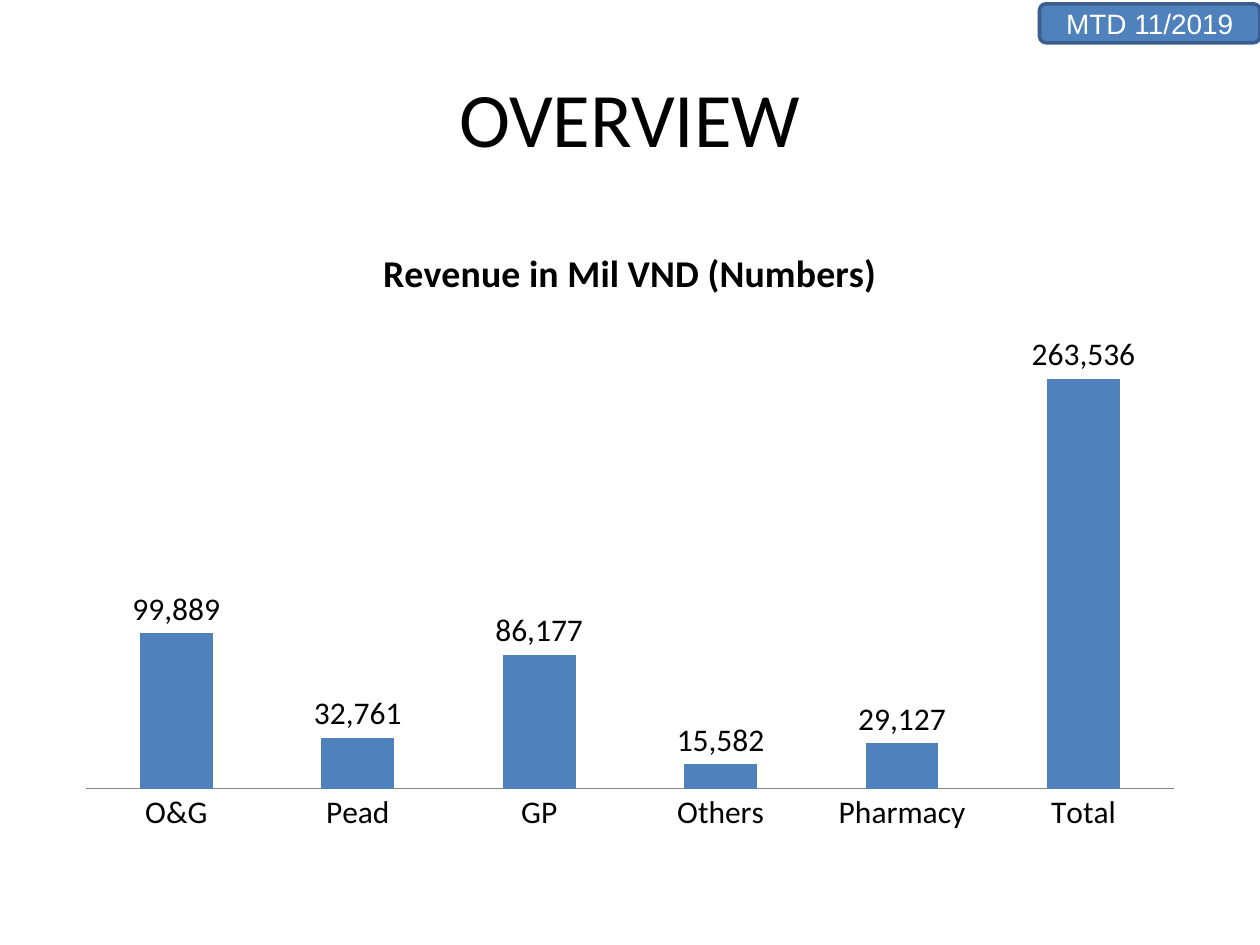
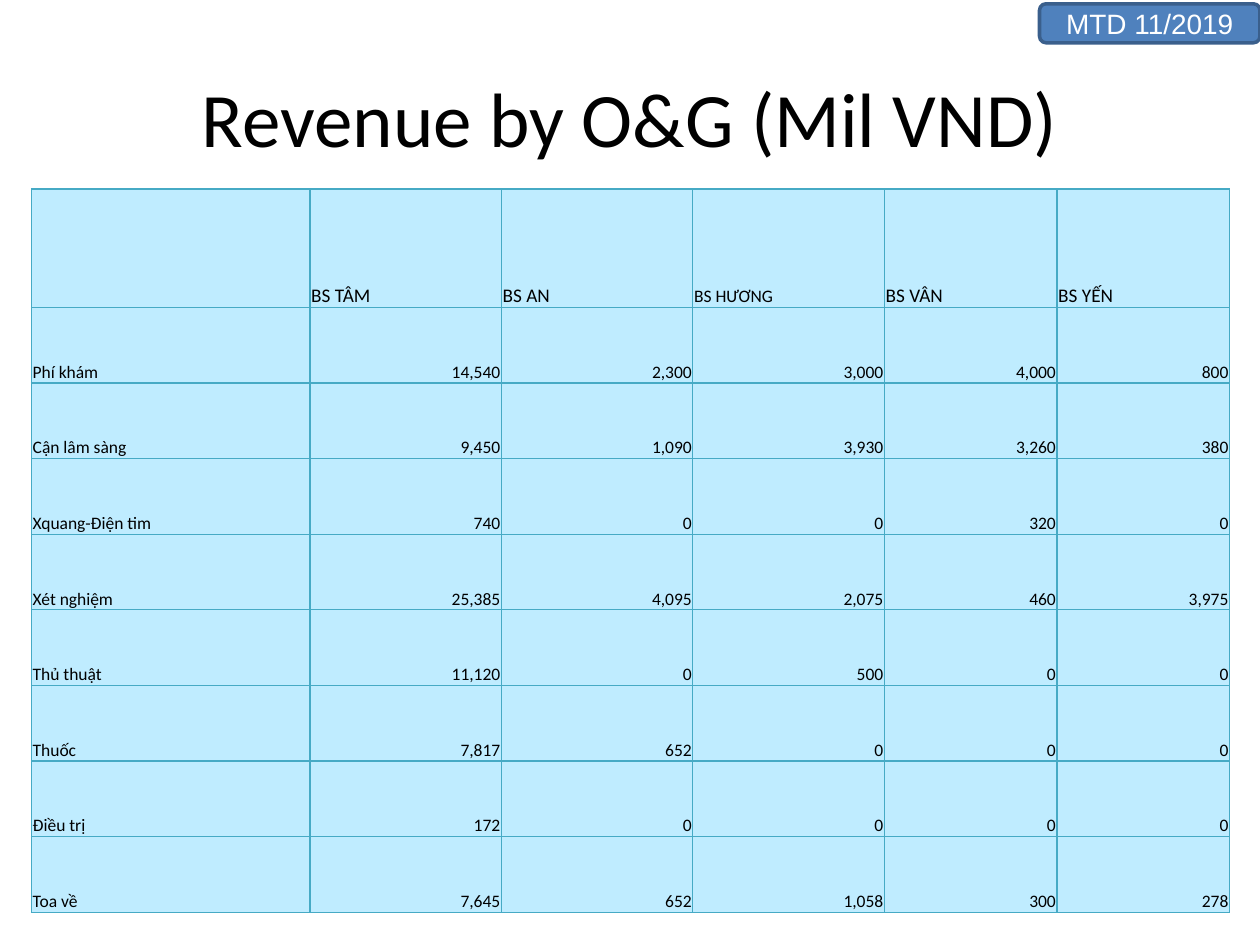
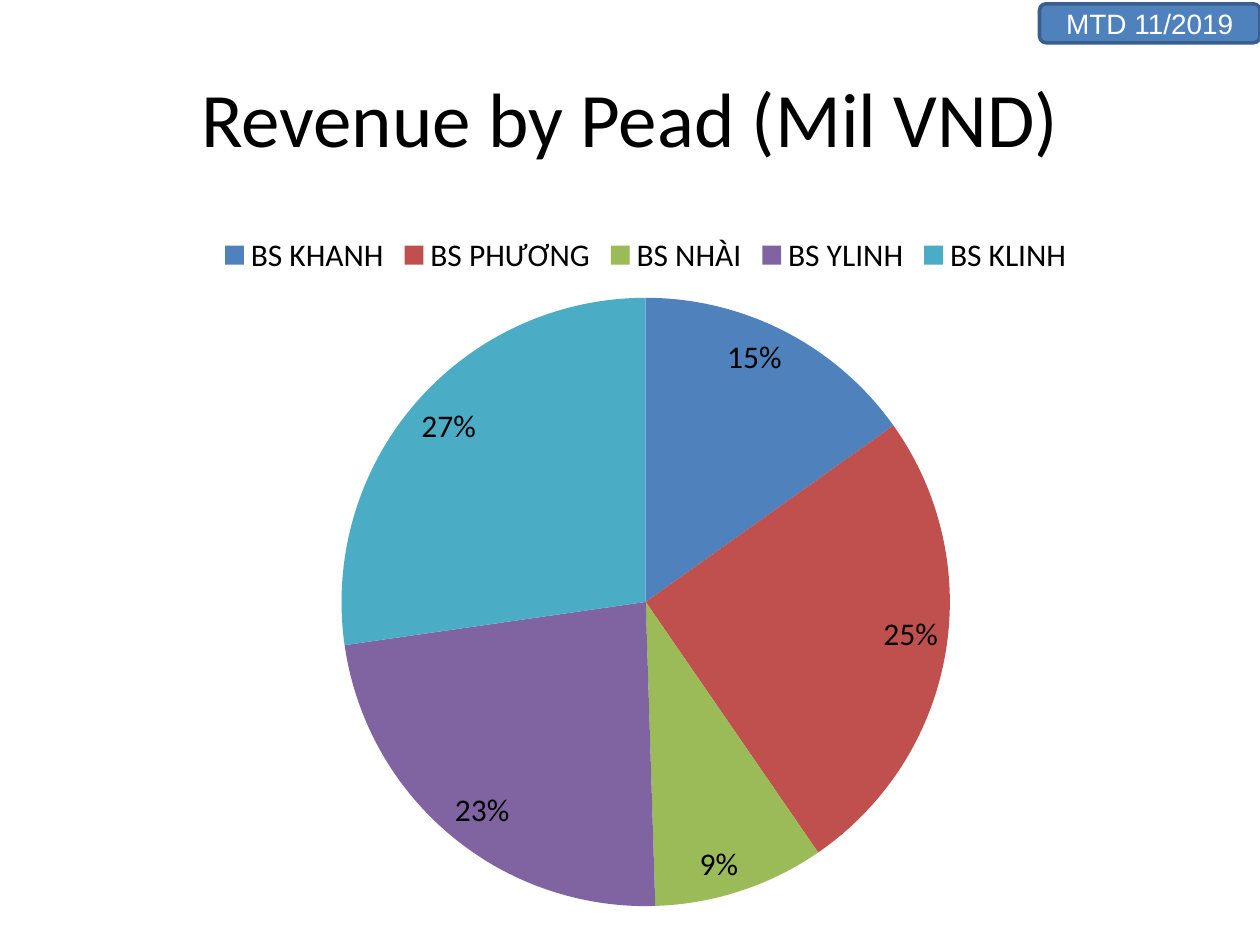
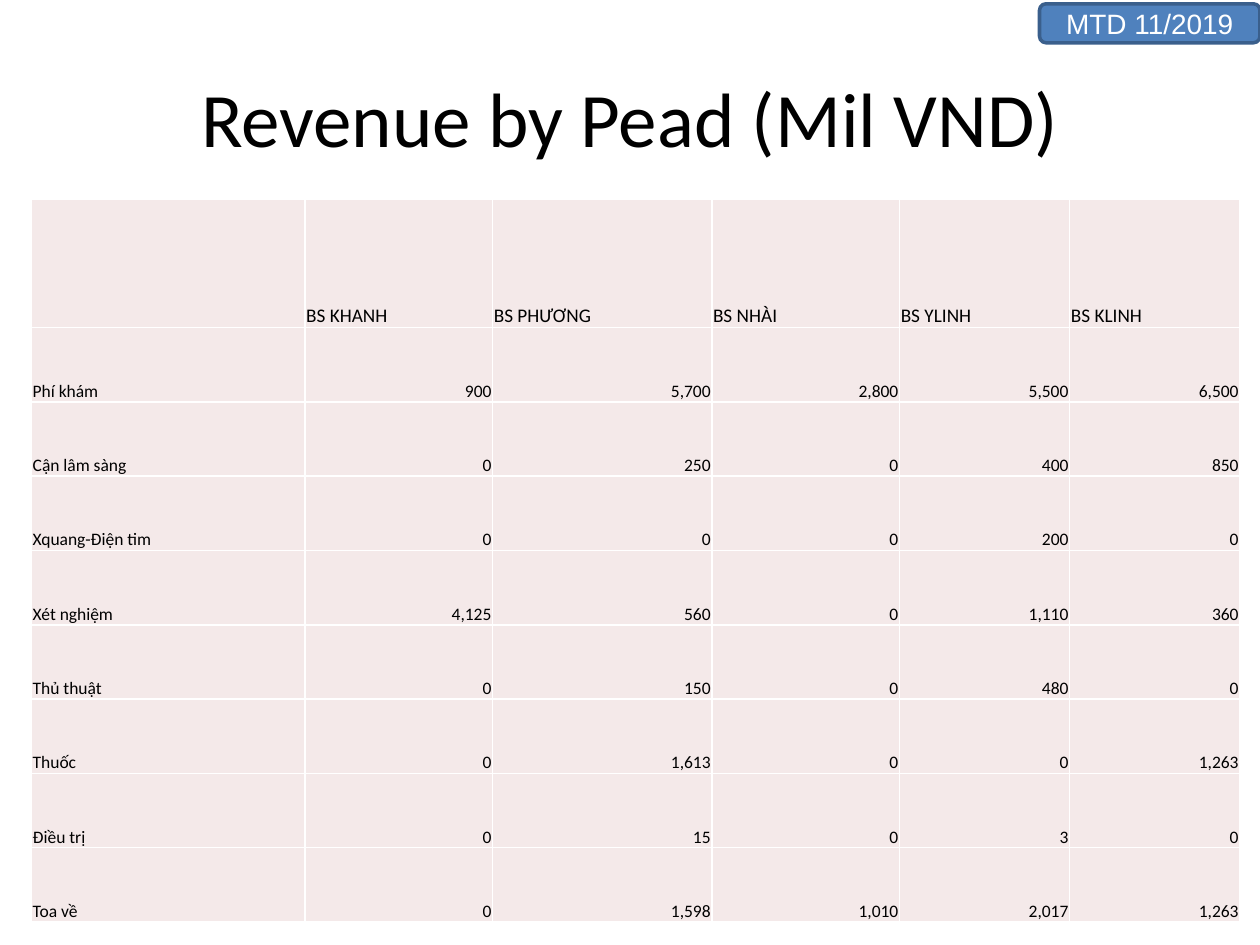
from pptx import Presentation
from pptx.chart.data import CategoryChartData
from pptx.dml.color import RGBColor
from pptx.enum.chart import XL_CHART_TYPE, XL_LABEL_POSITION, XL_LEGEND_POSITION, XL_TICK_MARK
from pptx.enum.shapes import MSO_SHAPE
from pptx.enum.text import MSO_ANCHOR, PP_ALIGN
from pptx.oxml import parse_xml
from pptx.oxml.ns import nsdecls
from pptx.util import Inches, Pt

BLACK = RGBColor(0x00, 0x00, 0x00)
WHITE = RGBColor(0xFF, 0xFF, 0xFF)
BLUE = RGBColor(0x4F, 0x81, 0xBD)
DARK_BLUE = RGBColor(0x3A, 0x5F, 0x8C)
RED = RGBColor(0xC0, 0x50, 0x4D)
GREEN = RGBColor(0x9B, 0xBB, 0x59)
PURPLE = RGBColor(0x80, 0x64, 0xA2)
TEAL = RGBColor(0x4B, 0xAC, 0xC6)
AXIS_GREY = RGBColor(0x86, 0x86, 0x86)
PALE_BLUE = RGBColor(0xBF, 0xEC, 0xFF)
TEAL_RULE = RGBColor(0x46, 0xAA, 0xC5)
PALE_PINK = RGBColor(0xF4, 0xE9, 0xE9)

BODY_FONT = "Calibri"
BADGE_FONT = "Arial"
MILLIONS = '_(* #,##0_);_(* \\(#,##0\\);_(* "-"??_);_('

DEPARTMENT_REVENUE = {
    "O&G": 99889, "Pead": 32761, "GP": 86177,
    "Others": 15582, "Pharmacy": 29127, "Total": 263536,
}
PEAD_SHARES = {"BS KHANH": 15, "BS PHƯƠNG": 25, "BS NHÀI": 9, "BS YLINH": 23, "BS KLINH": 27}
SERVICES = ["Phí khám", "Cận lâm sàng", "Xquang-Điện tim", "Xét nghiệm",
            "Thủ thuật", "Thuốc", "Điều trị", "Toa về"]
OG_DOCTORS = ["BS TÂM", "BS AN", "BS HƯƠNG", "BS VÂN", "BS YẾN"]
OG_REVENUE = [
    [14540, 2300, 3000, 4000, 800],
    [9450, 1090, 3930, 3260, 380],
    [740, 0, 0, 320, 0],
    [25385, 4095, 2075, 460, 3975],
    [11120, 0, 500, 0, 0],
    [7817, 652, 0, 0, 0],
    [172, 0, 0, 0, 0],
    [7645, 652, 1058, 300, 278],
]
PEAD_REVENUE = [
    [900, 5700, 2800, 5500, 6500],
    [0, 250, 0, 400, 850],
    [0, 0, 0, 200, 0],
    [4125, 560, 0, 1110, 360],
    [0, 150, 0, 480, 0],
    [0, 1613, 0, 0, 1263],
    [0, 15, 0, 3, 0],
    [0, 1598, 1010, 2017, 1263],
]


def box(left, top, width, height):
    return Inches(left), Inches(top), Inches(width), Inches(height)


def style_font(font, size, color=BLACK, name=BODY_FONT, bold=False):
    font.size = Pt(size)
    font.name = name
    font.bold = bold
    font.color.rgb = color


def add_titled_slide(prs, heading):
    slide = prs.slides.add_slide(prs.slide_layouts[5])
    title = slide.shapes.title
    title.left, title.top, title.width, title.height = box(0.5, 0.3, 9, 1.25)
    title.text_frame.text = heading
    title.text_frame.vertical_anchor = MSO_ANCHOR.MIDDLE
    paragraph = title.text_frame.paragraphs[0]
    paragraph.alignment = PP_ALIGN.CENTER
    style_font(paragraph.runs[0].font, 44)
    return slide


def put_period_badge_on_master(prs, slide, area):
    badge = slide.shapes.add_shape(MSO_SHAPE.ROUNDED_RECTANGLE, *area)
    badge.shadow.inherit = False
    badge.fill.solid()
    badge.fill.fore_color.rgb = BLUE
    badge.line.color.rgb = DARK_BLUE
    badge.line.width = Pt(2)
    badge.text_frame.text = "MTD 11/2019"
    badge.text_frame.vertical_anchor = MSO_ANCHOR.MIDDLE
    paragraph = badge.text_frame.paragraphs[0]
    paragraph.alignment = PP_ALIGN.CENTER
    style_font(paragraph.runs[0].font, 16, WHITE, BADGE_FONT)
    prs.slide_master.shapes.element.append(badge.element)


def add_plain_chart(slide, kind, values, area):
    data = CategoryChartData()
    data.categories = values.keys()
    data.add_series("Series 1", values.values())
    chart = slide.shapes.add_chart(kind, *area, data).chart
    style_font(chart.font, 18)
    chart.has_legend = False
    chart.has_title = False
    chart.plots[0].has_data_labels = True
    return chart


def add_revenue_columns(slide, area):
    chart = add_plain_chart(slide, XL_CHART_TYPE.COLUMN_CLUSTERED, DEPARTMENT_REVENUE, area)
    chart.has_title = True
    heading = chart.chart_title.text_frame
    heading.text = "Revenue in Mil VND (Numbers)"
    style_font(heading.paragraphs[0].runs[0].font, 21.6, bold=True)

    plot = chart.plots[0]
    plot.gap_width = 150
    plot.vary_by_categories = False
    bars = plot.series[0].format.fill
    bars.solid()
    bars.fore_color.rgb = BLUE
    labels = plot.data_labels
    labels.show_value = True
    labels.number_format = MILLIONS
    labels.number_format_is_linked = False
    labels.position = XL_LABEL_POSITION.OUTSIDE_END

    chart.value_axis.visible = False
    chart.value_axis.has_major_gridlines = False
    chart.value_axis.minimum_scale = 0
    chart.category_axis.major_tick_mark = XL_TICK_MARK.NONE
    chart.category_axis.format.line.color.rgb = AXIS_GREY


def add_share_pie(slide, area):
    chart = add_plain_chart(slide, XL_CHART_TYPE.PIE, PEAD_SHARES, area)
    chart.has_legend = True
    chart.legend.position = XL_LEGEND_POSITION.TOP
    chart.legend.include_in_layout = False
    style_font(chart.legend.font, 18)

    plot = chart.plots[0]
    plot.vary_by_categories = True
    for index, color in enumerate([BLUE, RED, GREEN, PURPLE, TEAL]):
        slice_fill = plot.series[0].points[index].format.fill
        slice_fill.solid()
        slice_fill.fore_color.rgb = color
    labels = plot.data_labels
    labels.show_value = False
    labels.show_percentage = True
    labels.number_format = "0%"
    labels.number_format_is_linked = False
    labels.position = XL_LABEL_POSITION.INSIDE_END


def set_borders(cell, color, width):
    properties = cell._tc.get_or_add_tcPr()
    for side in ("lnL", "lnR", "lnT", "lnB"):
        properties.append(parse_xml(
            f'<a:{side} {nsdecls("a")} w="{Pt(width)}"><a:solidFill>'
            f'<a:srgbClr val="{color}"/></a:solidFill></a:{side}>'))


def fill_cell(cell, text, size, alignment):
    cell.vertical_anchor = MSO_ANCHOR.BOTTOM
    cell.margin_left = cell.margin_right = cell.margin_top = Inches(0.01)
    cell.margin_bottom = 0
    cell.text_frame.text = text
    paragraph = cell.text_frame.paragraphs[0]
    paragraph.alignment = alignment
    style_font(paragraph.runs[0].font, size)


def add_doctor_table(slide, area, doctors, revenue, widths, heights, fill, rule, rule_width,
                     small_headings=()):
    table = slide.shapes.add_table(len(SERVICES) + 1, len(doctors) + 1, *area).table
    table.first_row = table.horz_banding = False
    for column, width in zip(table.columns, widths):
        column.width = Inches(width)
    header_height, service_height = heights
    for index, row in enumerate(table.rows):
        row.height = Inches(service_height if index else header_height)
    for cell in table.iter_cells():
        set_borders(cell, rule, rule_width)
        cell.fill.solid()
        cell.fill.fore_color.rgb = fill

    for column, doctor in enumerate(doctors, 1):
        size = 10 if doctor in small_headings else 11
        fill_cell(table.cell(0, column), doctor, size, PP_ALIGN.LEFT)
    for row, (service, amounts) in enumerate(zip(SERVICES, revenue), 1):
        fill_cell(table.cell(row, 0), service, 10, PP_ALIGN.LEFT)
        for column, amount in enumerate(amounts, 1):
            fill_cell(table.cell(row, column), f"{amount:,}", 10, PP_ALIGN.RIGHT)


def main():
    prs = Presentation()
    prs.slide_width, prs.slide_height = Inches(10), Inches(7.5)

    overview = add_titled_slide(prs, "OVERVIEW")
    put_period_badge_on_master(prs, overview, box(8.25, 0.03, 1.75, 0.31))
    add_revenue_columns(overview, box(0.5, 1.75, 9, 4.95))

    og_details = add_titled_slide(prs, "Revenue by O&G (Mil VND)")
    add_doctor_table(og_details, box(0.25, 1.5, 9.5, 5.75), OG_DOCTORS, OG_REVENUE,
                     [2.21, 1.52, 1.52, 1.52, 1.37, 1.37], (0.94, 0.6),
                     PALE_BLUE, TEAL_RULE, 0.75, small_headings=("BS HƯƠNG",))

    pead_shares = add_titled_slide(prs, "Revenue by Pead (Mil VND)")
    add_share_pie(pead_shares, box(0.5, 1.75, 9.25, 5.58))

    pead_details = add_titled_slide(prs, "Revenue by Pead (Mil VND)")
    add_doctor_table(pead_details, box(0.25, 1.58, 9.58, 5.75), list(PEAD_SHARES), PEAD_REVENUE,
                     [2.17, 1.49, 1.74, 1.49, 1.35, 1.35], (1.02, 0.59),
                     PALE_PINK, WHITE, 1)

    prs.save("out.pptx")


if __name__ == "__main__":
    main()
